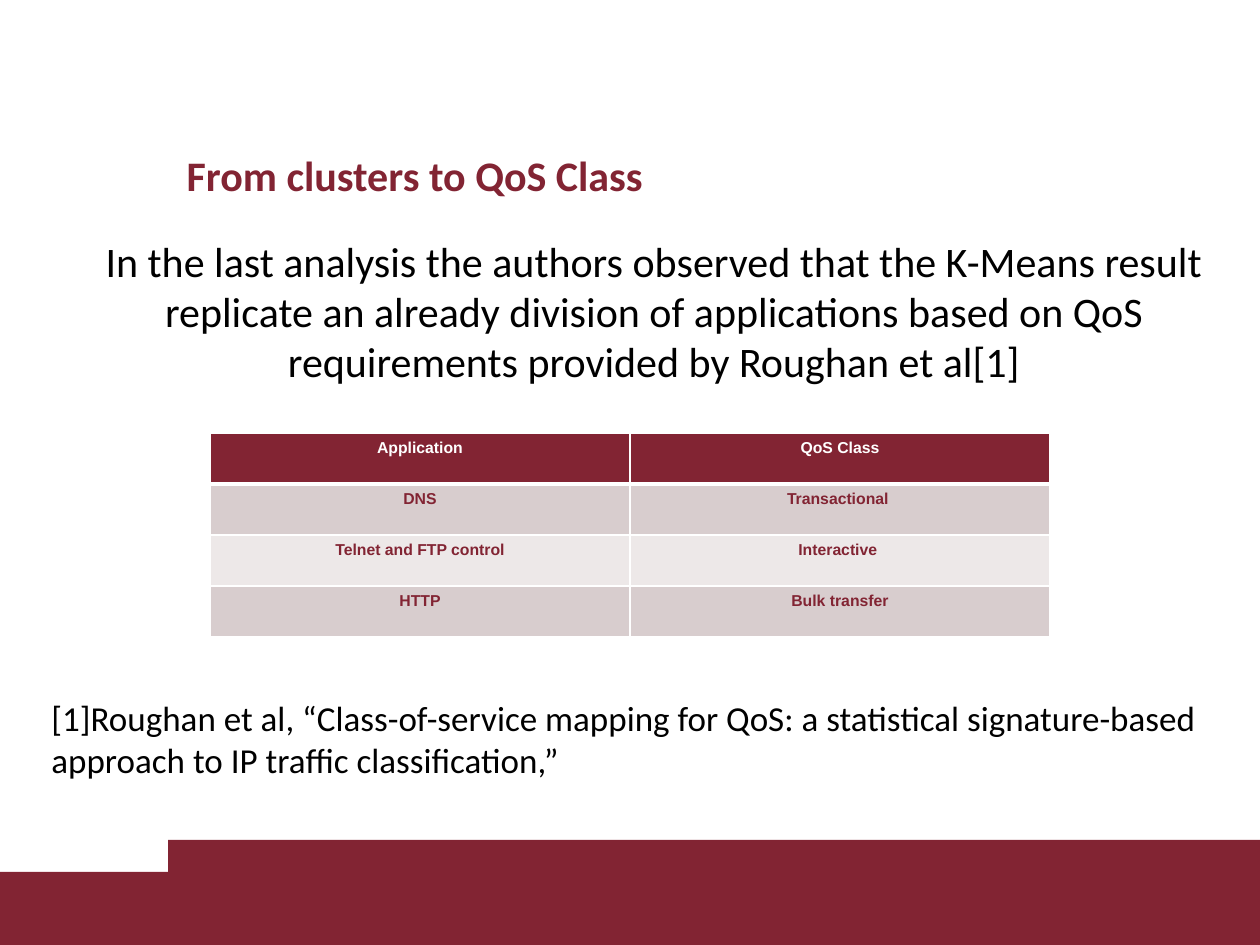
"""Build the slide that maps traffic clusters to QoS classes."""
from lxml import etree
from pptx import Presentation
from pptx import util as u
from pptx.dml.color import RGBColor
from pptx.enum import shapes, text
from pptx.oxml import ns

PX = u.Inches(1) / 126
COLORS = {"maroon": "822433", "white": "FFFFFF", "black": "000000",
          "odd": "D8CDCE", "even": "EDE8E8"}


def box(*lengths):
    return [u.Emu(round(length * PX)) for length in lengths]


def write(frame, words, color, align, **font):
    frame.word_wrap = True
    paragraph = frame.paragraphs[0]
    paragraph.alignment = align
    run = paragraph.add_run()
    run.text = words
    for name, value in font.items():
        setattr(run.font, name, value)
    run.font.color.rgb = RGBColor.from_string(COLORS[color])


presentation = Presentation()
presentation.slide_width, presentation.slide_height = box(1260, 945)
slide = presentation.slides.add_slide(presentation.slide_layouts[5])
LEFT, CENTER = text.PP_ALIGN.LEFT, text.PP_ALIGN.CENTER

for bounds in [(0, 872, 1260, 73), (168, 840, 1092, 105)]:
    band = slide.shapes.add_shape(shapes.MSO_SHAPE.RECTANGLE, *box(*bounds))
    band.shadow.inherit = False
    band.fill.solid()
    band.fill.fore_color.rgb = RGBColor.from_string(COLORS["maroon"])
    band.line.fill.background()

title = slide.shapes.title
title.left, title.top, title.width, title.height = box(174, 140, 1022, 69)
title.text_frame.vertical_anchor = text.MSO_ANCHOR.MIDDLE
write(title.text_frame, "From clusters to QoS Class", "maroon", LEFT,
      name="Calibri", size=u.Pt(24), bold=True)

passages = [
    ("In the last analysis the authors observed that the K-Means result "
     "replicate an already division of applications based on QoS "
     "requirements provided by Roughan et al[1]", 229, 166, 24, CENTER),
    ("[1]Roughan et al, “Class-of-service mapping for QoS: a statistical "
     "signature-based approach to IP traffic classification,”", 690, 98, 20, LEFT),
]
for words, top, height, size, align in passages:
    passage = slide.shapes.add_textbox(*box(39, top, 1230, height))
    write(passage.text_frame, words, "black", align, name="Calibri", size=u.Pt(size))

rows = [
    ("Application", "QoS Class"),
    ("DNS", "Transactional "),
    ("Telnet and FTP control", "Interactive "),
    ("HTTP", "Bulk transfer"),
]
table = slide.shapes.add_table(len(rows), 2, *box(210, 433, 840, 204)).table
for i, row in enumerate(rows):
    fill = "maroon" if i == 0 else "odd" if i % 2 else "even"
    for j, words in enumerate(row):
        cell = table.cell(i, j)
        write(cell.text_frame, words, "maroon" if i else "white", CENTER,
              name="Arial", size=u.Pt(9), bold=True)
        properties = cell._tc.get_or_add_tcPr()
        for side in "LRTB":
            thick = (i, side) in [(0, "B"), (1, "T")]
            border = etree.SubElement(properties, ns.qn(f"a:ln{side}"),
                                      w=str(u.Pt(3 if thick else 1)))
            solid = etree.SubElement(border, ns.qn("a:solidFill"))
            etree.SubElement(solid, ns.qn("a:srgbClr"), val=COLORS["white"])
        cell.fill.solid()
        cell.fill.fore_color.rgb = RGBColor.from_string(COLORS[fill])

presentation.save("out.pptx")
